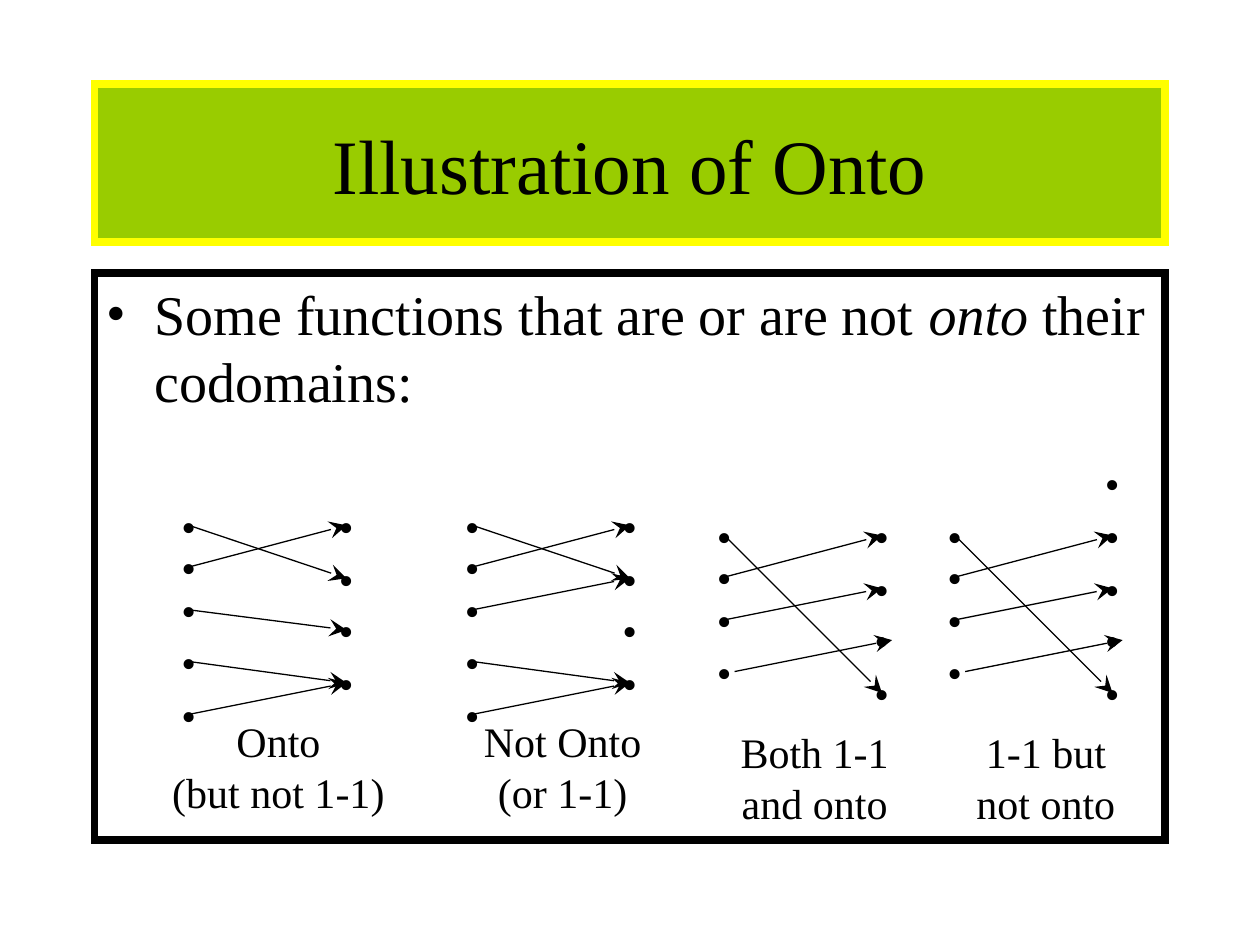
import pptx
import pptx.dml.color
import pptx.enum.shapes
import pptx.enum.text
import pptx.oxml
import pptx.oxml.ns
import pptx.util
from pptx.dml.color import RGBColor
from pptx.util import Inches

BLACK = RGBColor(0x00, 0x00, 0x00)
WHITE = RGBColor(0xFF, 0xFF, 0xFF)
GREEN = RGBColor(0x99, 0xCC, 0x00)
YELLOW = RGBColor(0xFF, 0xFF, 0x00)
FONT = "Times New Roman"
NAMESPACE = pptx.oxml.ns.nsdecls("a")
CENTER = pptx.enum.text.PP_ALIGN.CENTER
MIDDLE = pptx.enum.text.MSO_ANCHOR.MIDDLE
TOP = pptx.enum.text.MSO_ANCHOR.TOP

presentation = pptx.Presentation()
presentation.slide_width = Inches(10)
presentation.slide_height = Inches(7.5)
slide = presentation.slides.add_slide(presentation.slide_layouts[6])


def set_font(font, size):
    formats = {"name": FONT, "size": pptx.util.Pt(size)}
    for name, value in formats.items():
        setattr(font, name, value)
    font.color.rgb = BLACK


def add_label(text, left, top, width, height):
    box = slide.shapes.add_textbox(Inches(left), Inches(top), Inches(width), Inches(height))
    frame_formats = {
        "word_wrap": False,
        "auto_size": pptx.enum.text.MSO_AUTO_SIZE.SHAPE_TO_FIT_TEXT,
        "vertical_anchor": MIDDLE,
    }
    for name, value in frame_formats.items():
        setattr(box.text_frame, name, value)
    paragraph = box.text_frame.paragraphs[0]
    paragraph.text = text
    paragraph.alignment = CENTER
    for run in paragraph.runs:
        set_font(run.font, 24)


frames = []
for top, height, fill, line, anchor in [
    (0.67, 1.25, GREEN, YELLOW, MIDDLE),
    (2.17, 4.5, WHITE, BLACK, TOP),
]:
    shape = slide.shapes.add_shape(
        pptx.enum.shapes.MSO_SHAPE.RECTANGLE,
        Inches(0.75), Inches(top), Inches(8.5), Inches(height),
    )
    shape.shadow.inherit = False
    shape.fill.solid()
    shape.fill.fore_color.rgb = fill
    shape.line.color.rgb = line
    shape.line.width = pptx.util.Pt(4.5)
    shape.line._get_or_add_ln().append(
        pptx.oxml.parse_xml(f'<a:miter {NAMESPACE} lim="800000"/>')
    )
    shape.text_frame.word_wrap = True
    shape.text_frame.vertical_anchor = anchor
    frames.append(shape.text_frame)

title = frames[0].paragraphs[0]
title.text = "Illustration of Onto"
title.alignment = CENTER
set_font(title.runs[0].font, 44)

statement = frames[1].paragraphs[0]
statement.alignment = pptx.enum.text.PP_ALIGN.LEFT
properties = statement._p.get_or_add_pPr()
properties.set("marL", str(Inches(0.38)))
properties.set("indent", str(Inches(-0.38)))
for bullet in [
    f'<a:buClr {NAMESPACE}><a:srgbClr val="{BLACK}"/></a:buClr>',
    f'<a:buFont {NAMESPACE} typeface="{FONT}"/>',
    f'<a:buChar {NAMESPACE} char="•"/>',
]:
    properties.append(pptx.oxml.parse_xml(bullet))
for text, italic in [
    ("Some functions that are or are not ", False),
    ("onto", True),
    (" their codomains:", False),
]:
    run = statement.add_run()
    run.text = text
    set_font(run.font, 32)
    run.font.italic = italic

SPAN = 1.25
DOMAIN = [0, 0.33, 0.67, 1.08, 1.5]
CODOMAIN = [0, 0.42, 0.83, 1.25]
ONE_TO_ONE = [(1, 0, 0), (2, 1, 0), (0, 3, 0), (3, 2, 0.08)]

diagrams = [
    ("Onto\v(but not 1-1)", (1.26, 5.63, 1.9, 0.9), 1.5, 4.17, DOMAIN, CODOMAIN,
     [(0, 1, 0), (1, 0, 0), (2, 2, 0), (3, 3, 0), (4, 3, 0)]),
    ("Not Onto\v(or 1-1)", (3.73, 5.63, 1.47, 0.9), 3.75, 4.17, DOMAIN, CODOMAIN,
     [(0, 1, 0), (1, 0, 0), (2, 1, 0), (3, 3, 0), (4, 3, 0)]),
    ("Both 1-1\vand onto", (5.77, 5.72, 1.39, 0.9), 5.75, 4.25, DOMAIN[:4], CODOMAIN,
     ONE_TO_ONE),
    ("1-1 but\vnot onto", (7.64, 5.72, 1.32, 0.9), 7.58, 4.25, DOMAIN[:4], CODOMAIN + [-0.42],
     ONE_TO_ONE),
]

for caption, caption_place, left, top, domain, codomain, mappings in diagrams:
    add_label(caption, *caption_place)
    for x, offsets in [(left, domain), (left + SPAN, codomain)]:
        for offset in offsets:
            add_label("•", x - 0.16, top + offset - 0.25, 0.31, 0.5)
    for source, target, shift in mappings:
        arrow = slide.shapes.add_connector(
            pptx.enum.shapes.MSO_CONNECTOR.STRAIGHT,
            Inches(left + shift), Inches(top + domain[source]),
            Inches(left + SPAN + shift), Inches(top + codomain[target]),
        )
        arrow.line.color.rgb = BLACK
        arrow.line.width = pptx.util.Pt(0.75)
        arrow.line._get_or_add_ln().append(
            pptx.oxml.parse_xml(f'<a:tailEnd {NAMESPACE} type="stealth" w="lg" len="lg"/>')
        )
        arrow._element.spPr.append(pptx.oxml.parse_xml(f"<a:effectLst {NAMESPACE}/>"))

presentation.save("out.pptx")
